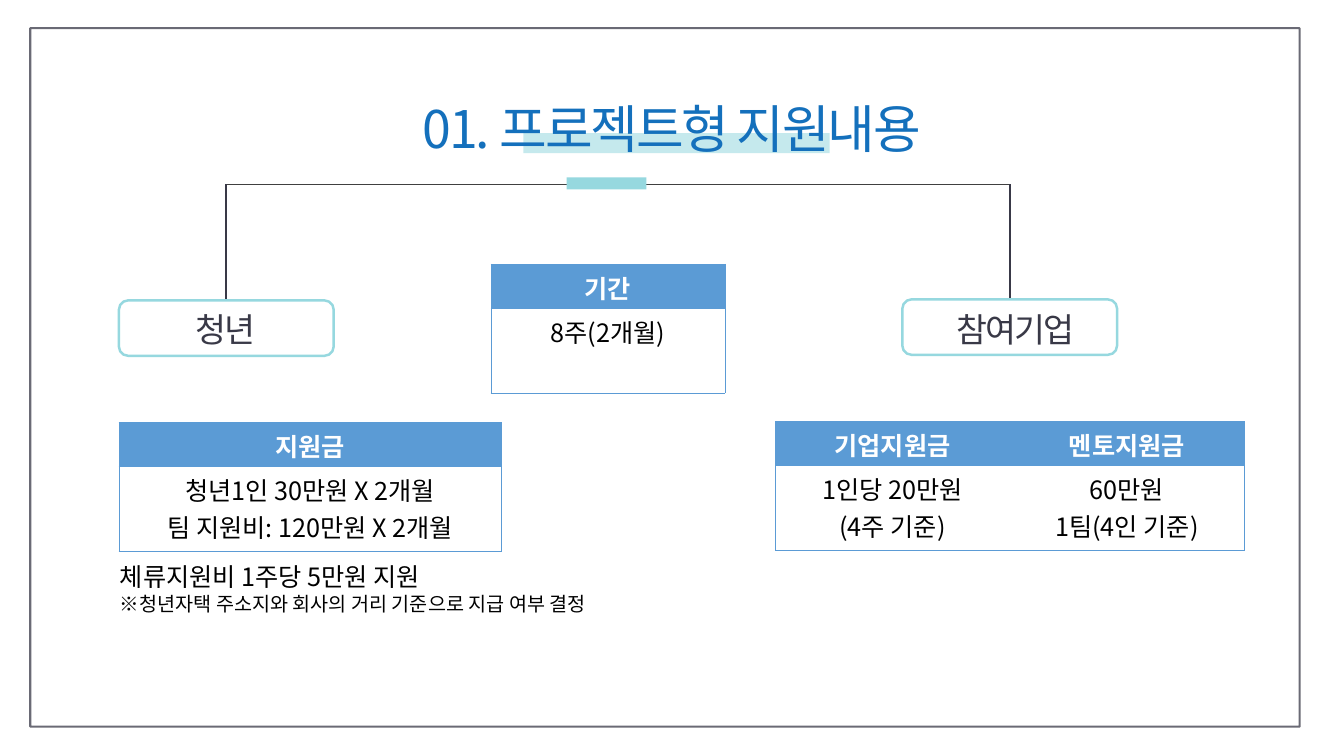
from lxml.etree import SubElement
from pptx import Presentation
from pptx.dml.color import RGBColor
from pptx.enum.shapes import MSO_CONNECTOR as CONNECTOR, MSO_SHAPE as SHAPE
from pptx.enum.text import MSO_ANCHOR as ANCHOR, PP_ALIGN as ALIGN
from pptx.oxml.ns import qn
from pptx.util import Inches, Pt

FONT = "Noto Sans CJK KR"
INK, BLUE, HEADER, MINT = "393947", "1470BC", "5B9BD5", "96D8DF"
BLACK, WHITE, GRAY = "000000", "FFFFFF", "404040"

FRAME = (0.3, 0.28, 12.59, 6.93)
HIGHLIGHT = (5.19, 1.32, 3.04, 0.2)
ACCENT = (5.62, 1.76, 0.79, 0.12)
TITLE = ("01. 프로젝트형 지원내용", (3.85, 0.91, 5.63, 0.72))
GROUPS = [
    ("청년", (1.09, 3.01, 2.29, 0.5), (1.18, 2.98, 2.13, 0.55)),
    ("참여기업", (8, 3.01, 4.14, 0.5), (8.95, 2.97, 2.13, 0.55)),
]
BRANCH_TOP = 1.83
HEADER_HEIGHT, BODY_HEIGHT = 0.44, 0.84
TABLES = [
    ((1.18, 4.19), 3.79, [("지원금", "청년1인 30만원 X 2개월\n팀 지원비: 120만원 X 2개월")]),
    ((7.69, 4.18), 4.65, [("기업지원금", "1인당 20만원\n(4주 기준)"),
                          ("멘토지원금", "60만원\n1팀(4인 기준)")]),
    ((4.87, 2.62), 2.32, [("기간", "8주(2개월)")]),
]
STAY_SUPPORT = ["체류지원비 1주당 5만원 지원", "※청년자택 주소지와 회사의 거리 기준으로 지급 여부 결정"]
STAY_AREA = (1.09, 5.52, 5.35, 0.64)


def paint(color_format, color):
    color_format.rgb = RGBColor.from_string(color)


def set_alpha(shape_part, percent):
    color = next(shape_part.iter(qn("a:srgbClr")))
    SubElement(color, qn("a:alpha"), val=str(percent * 1000))


def style(paragraph, size, color, bold=False, align=ALIGN.CENTER, spacing=None):
    paragraph.alignment = align
    for run in paragraph.runs:
        run.font.size, run.font.bold, run.font.name = Pt(size), bold, FONT
        paint(run.font.color, color)
        properties = run.font._element
        SubElement(properties, qn("a:ea"), typeface=FONT)
        if spacing is not None:
            properties.set("spc", str(int(spacing * 100)))


def add_box(slide, kind, area, fill=None, line=None, width=1):
    box = slide.shapes.add_shape(kind, *map(Inches, area))
    box.shadow.inherit = False
    if fill:
        box.fill.solid()
        paint(box.fill.fore_color, fill)
    else:
        box.fill.background()
    if line:
        paint(box.line.color, line)
        box.line.width = Pt(width)
    else:
        box.line.fill.background()
    return box


def add_line(slide, start, end, color):
    line = slide.shapes.add_connector(CONNECTOR.STRAIGHT, *map(Inches, start + end))
    paint(line.line.color, color)
    line.line.width = Pt(1.25)
    SubElement(line._element.spPr, qn("a:effectLst"))


def add_text(slide, text, area, wrap=True):
    frame = slide.shapes.add_textbox(*map(Inches, area)).text_frame
    frame.word_wrap = wrap
    frame.vertical_anchor = ANCHOR.MIDDLE
    frame.text = text
    return frame.paragraphs


def set_borders(cell, visible):
    properties = cell._tc.get_or_add_tcPr()
    for position, side in enumerate(("L", "R", "T", "B")):
        border = properties.makeelement(qn(f"a:ln{side}"), {"w": str(Pt(0.5))})
        properties.insert(position, border)
        if side in visible:
            fill = SubElement(border, qn("a:solidFill"))
            SubElement(fill, qn("a:srgbClr"), val=HEADER)
        else:
            SubElement(border, qn("a:noFill"))


def add_support_table(slide, corner, width, columns):
    area = (*corner, width, HEADER_HEIGHT + BODY_HEIGHT)
    table = slide.shapes.add_table(2, len(columns), *map(Inches, area)).table
    for row, height in zip(table.rows, (HEADER_HEIGHT, BODY_HEIGHT)):
        row.height = Inches(height)
    for column, texts in enumerate(columns):
        edges = "TB" + "L" * (column == 0) + "R" * (column == len(columns) - 1)
        for row, text in enumerate(texts):
            cell, is_header = table.cell(row, column), row == 0
            cell.text = text
            if is_header:
                cell.fill.solid()
                paint(cell.fill.fore_color, HEADER)
            else:
                cell.fill.background()
            for paragraph in cell.text_frame.paragraphs:
                style(paragraph, 18, WHITE if is_header else BLACK, bold=is_header)
            set_borders(cell, edges)


def main():
    """Build the project support slide and save it."""
    deck = Presentation()
    deck.slide_width, deck.slide_height = Inches(13.33), Inches(7.5)
    slide = deck.slides.add_slide(deck.slide_layouts[6])

    frame = add_box(slide, SHAPE.RECTANGLE, FRAME, line=INK, width=1.5)
    set_alpha(frame._element.spPr, 75)
    centers = [left + width / 2 for _, _, (left, _, width, _) in GROUPS]
    add_line(slide, (centers[0], BRANCH_TOP), (centers[1], BRANCH_TOP), GRAY)
    highlight = add_box(slide, SHAPE.RECTANGLE, HIGHLIGHT, fill=MINT)
    set_alpha(highlight._element.spPr, 55)

    for (name, name_area, pill), center in zip(GROUPS, centers):
        style(add_text(slide, name, name_area)[0], 24, INK, spacing=-1.5)
        add_line(slide, (center, pill[1]), (center, BRANCH_TOP), INK)
        add_box(slide, SHAPE.ROUNDED_RECTANGLE, pill, line=MINT, width=1.75)
    add_box(slide, SHAPE.RECTANGLE, ACCENT, fill=MINT)

    heading = add_text(slide, *TITLE, wrap=False)[0]
    heading.space_after = Pt(4)
    style(heading, 37, BLUE, spacing=-1.5)

    for support in TABLES:
        add_support_table(slide, *support)
    stay_lines = add_text(slide, "\n".join(STAY_SUPPORT), STAY_AREA, wrap=False)
    for paragraph, size in zip(stay_lines, (18, 14)):
        style(paragraph, size, BLACK, align=ALIGN.LEFT)

    deck.save("out.pptx")


if __name__ == "__main__":
    main()
